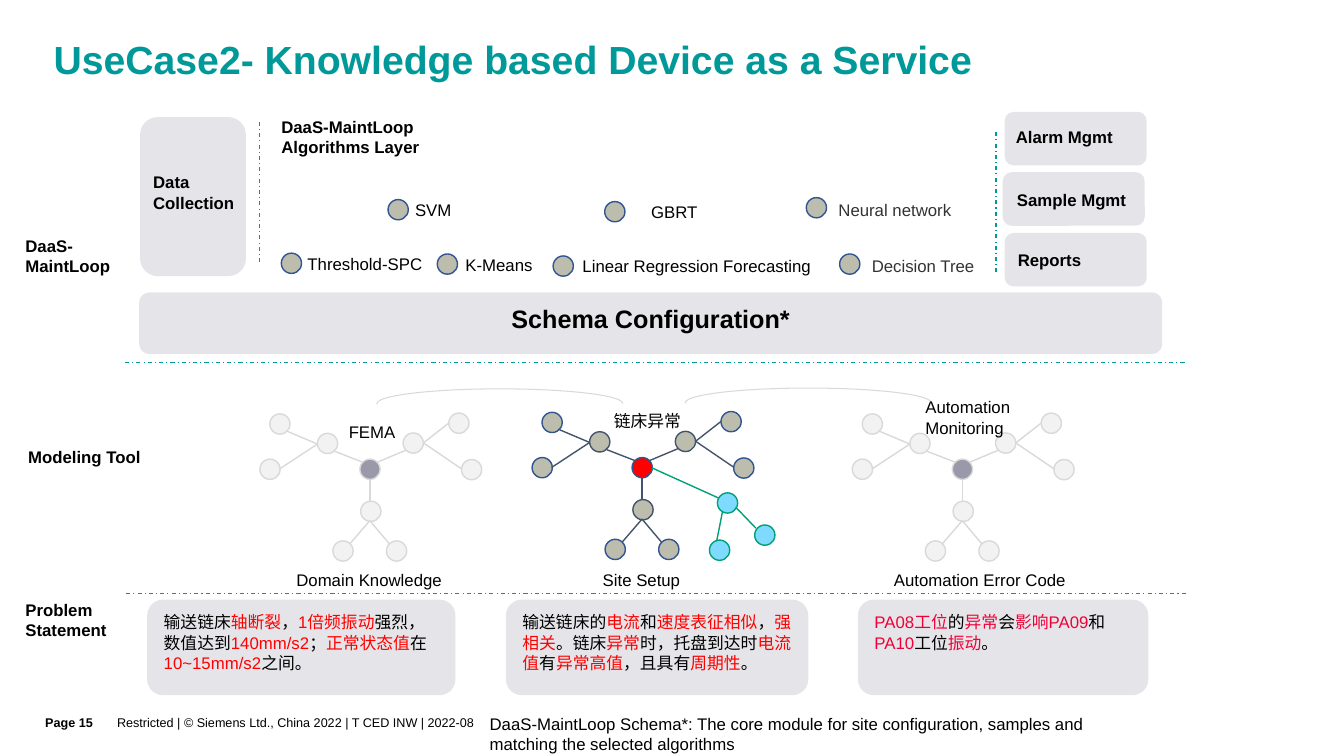
"""Build the knowledge based device service slide."""
from lxml.etree import SubElement
from pptx import Presentation
from pptx.dml.color import RGBColor
from pptx.enum.dml import MSO_LINE as Dash
from pptx.enum.shapes import MSO_CONNECTOR as Link, MSO_SHAPE as Kind
from pptx.enum.text import MSO_ANCHOR as Anchor, PP_ALIGN as Align
from pptx.oxml.ns import qn
from pptx.util import Cm, Pt

TEAL = RGBColor(0x00, 0x99, 0x99)
BLACK = RGBColor(0x00, 0x00, 0x00)
DARK = RGBColor(0x33, 0x33, 0x33)
RED = RGBColor(0xFF, 0x00, 0x00)
ROSE = RGBColor(0xEF, 0x01, 0x37)
PANEL = RGBColor(0xE5, 0xE5, 0xE9)
SAND = RGBColor(0xBD, 0xBD, 0xAD)
NAVY = RGBColor(0x32, 0x54, 0x91)
SLATE = RGBColor(0x44, 0x54, 0x6A)
PALE = RGBColor(0xF2, 0xF2, 0xF2)
GREY = RGBColor(0xD9, 0xD9, 0xD9)
HUB = RGBColor(0x99, 0x99, 0xA9)
SKY = RGBColor(0x7F, 0xDA, 0xFF)
GREEN = RGBColor(0x00, 0xA1, 0x78)

INNER = [(-1.07, -0.65), (0.02, 1.06), (1.09, -0.66)]
OUTER = [(2.56, 0.01), (2.24, -1.16), (0.67, 2.06), (-0.68, 2.06), (-2.52, 0), (-2.27, -1.14)]
EDGES = [
    (0.25, 0.51, 0.25, 1.06), (1.17, -0.23, 0.43, 0.08), (-0.64, -0.2, 0.08, 0.08),
    (-1.85, -0.71, -1.07, -0.38), (0.25, 1.55, -0.25, 2.13), (0.25, 1.55, 0.74, 2.13),
    (1.6, -0.41, 2.24, -0.91), (-1.07, -0.38, -2.03, 0.25), (1.6, -0.41, 2.57, 0.25),
]
RULES = [(3.18, 14.96, 29.92, 14.96), (3.15, 9.14, 29.9, 9.14),
         (6.55, 3.07, 6.55, 6.65), (25.1, 3.33, 25.1, 6.91)]
CARDS = [
    (3.71, 7.77, RED, "输送链床^轴断裂^，^1倍频振动^强烈，数值达到^140mm/s2^；^正常状态值^在^10~15mm/s2^之间。"),
    (12.75, 7.62, RED, "输送链床的^电流^和^速度表征相似^，^强相关^。链床^异常^时，托盘到达时"
                       "^电流值^有^异常高值^，且具有^周期性^。"),
    (21.62, 7.32, ROSE, "^PA08工位^的^异常^会^影响PA09^和^PA10^工位^振动^。"),
]
METHODS = [
    ("Threshold-SPC", 7.09, 6.38, 7.75, 6.4, BLACK),
    ("SVM", 9.78, 5.03, 10.46, 5.03, BLACK),
    ("K-Means", 11.02, 6.4, 11.73, 6.43, BLACK),
    ("Linear Regression Forecasting", 13.94, 6.45, 14.68, 6.45, BLACK),
    ("GBRT", 15.24, 5.08, 16.41, 5.08, BLACK),
    ("Decision Tree", 21.16, 6.4, 21.97, 6.45, DARK),
    ("Neural network", 20.32, 4.98, 21.13, 5.03, DARK),
]
MENU = [("Alarm Mgmt", 25.32, 2.82, 25.6, 3.2),
        ("Sample Mgmt", 25.27, 4.34, 25.63, 4.78),
        ("Reports", 25.32, 5.87, 25.65, 6.3)]
HEADS = [("Problem\nStatement", 0.64, 15.11), ("Modeling Tool", 0.71, 11.25),
         ("DaaS-\nMaintLoop", 0.64, 5.94), ("Data\nCollection", 3.86, 4.34),
         ("DaaS-MaintLoop\nAlgorithms Layer", 7.09, 2.95)]
TREES = [(9.07, 11.57, HUB, PALE, GREY, GREY),
         (15.93, 11.53, RED, SAND, SLATE, NAVY),
         (24, 11.57, HUB, PALE, GREY, GREY)]
NOTES = [("链床异常", 15.47, 10.34, 5.05), ("FEMA", 8.79, 10.62, 1.65),
         ("Automation Monitoring", 23.32, 10.01, 2.72),
         ("Domain Knowledge", 7.47, 14.35, 4.24), ("Site Setup", 15.19, 14.35, 4.24),
         ("Automation Error Code", 22.53, 14.35, 6.58),
         ("DaaS-MaintLoop Schema*: The core module for site configuration, "
          "samples and matching the selected algorithms", 12.34, 17.98, 15.85)]


def write(frame, text, size=12, color=BLACK, accent=RED, bold=False, align=Align.LEFT,
          anchor=Anchor.TOP, pad=(0, 0, 0, 0), space=None):
    """Fill a frame; newlines part paragraphs and carets switch the accent colour."""
    frame.word_wrap = True
    frame.vertical_anchor = anchor
    (frame.margin_left, frame.margin_top,
     frame.margin_right, frame.margin_bottom) = map(Cm, pad)
    for row, line in enumerate(text.split("\n")):
        para = frame.add_paragraph() if row else frame.paragraphs[0]
        para.alignment = align
        if space:
            para.line_spacing = space
        for turn, part in enumerate(line.split("^")):
            if part:
                run = para.add_run()
                run.text = part
                run.font.name = "Arial"
                run.font.size = Pt(size)
                run.font.bold = bold
                run.font.color.rgb = accent if turn % 2 else color


class Board:
    """Hold the slide and draw its elements in one style."""

    def __init__(self, slide):
        """Keep the slide."""
        self.slide = slide

    def title(self, text):
        """Place and fill the title."""
        head = self.slide.shapes.title
        head.left, head.top, head.width, head.height = map(Cm, (1.35, 0.53, 29.79, 1.6))
        write(head.text_frame, text, size=28, color=TEAL, bold=True,
              anchor=Anchor.BOTTOM, pad=(0, 0, 0.89, 0.05), space=0.9)

    def label(self, text, x, y, wide=5.05, high=0.51, **style):
        """Add a text box."""
        box = self.slide.shapes.add_textbox(Cm(x), Cm(y), Cm(wide), Cm(high))
        write(box.text_frame, text, **style)

    def shape(self, kind, x, y, wide, high, fill=None, line=None, width=1):
        """Add a preset shape."""
        item = self.slide.shapes.add_shape(kind, Cm(x), Cm(y), Cm(wide), Cm(high))
        item.shadow.inherit = False
        if fill is None:
            item.fill.background()
        else:
            item.fill.solid()
            item.fill.fore_color.rgb = fill
        if line is None:
            item.line.fill.background()
        else:
            item.line.color.rgb = line
            item.line.width = Pt(width)
        return item

    def panel(self, x, y, wide, high, text="", **style):
        """Add a rounded panel with optional text."""
        item = self.shape(Kind.ROUNDED_RECTANGLE, x, y, wide, high, PANEL)
        if text:
            write(item.text_frame, text, pad=(0.3, 0.2, 0.3, 0.2), **style)

    def node(self, x, y, fill=SAND, line=NAVY):
        """Add a round node."""
        self.shape(Kind.OVAL, x, y, 0.51, 0.51, fill, line)

    def arc(self, x, y):
        """Add a flat upper arc."""
        item = self.shape(Kind.ARC, x, y, 6.2, 0.74, line=GREY, width=0.75)
        item.adjustments[0] = 107.847
        item.adjustments[1] = 0

    def line(self, x, y, right, low, color, width=1, dash=None):
        """Add a straight line."""
        link = self.slide.shapes.add_connector(
            Link.STRAIGHT, Cm(x), Cm(y), Cm(right), Cm(low))
        link.line.color.rgb = color
        link.line.width = Pt(width)
        if dash:
            link.line.dash_style = dash
        SubElement(link._element.spPr, qn("a:effectLst"))

    def tree(self, x, y, hub, fill, inner, outer):
        """Add a hub with its branches."""
        self.node(x, y, hub, outer)
        for spots, rim in ((INNER, inner), (OUTER, outer)):
            for dx, dy in spots:
                self.node(x + dx, y + dy, fill, rim)
        for left, top, right, low in EDGES:
            self.line(x + left, y + top, x + right, y + low, inner)


def main():
    """Build and save the slide."""
    deck = Presentation()
    deck.slide_width, deck.slide_height = Cm(33.87), Cm(19.05)
    board = Board(deck.slides.add_slide(deck.slide_layouts[5]))
    board.title("UseCase2- Knowledge based Device as a Service")
    foot = dict(size=9, anchor=Anchor.MIDDLE, pad=(0, 0, 0, 0.18))
    board.label("Restricted | © Siemens Ltd., China 2022 | T CED INW | 2022-08",
                2.95, 17.53, 25.6, 1.52, **foot)
    board.label("Page 15", 1.14, 17.53, 1.8, 1.52, bold=True, **foot)

    for ends in RULES:
        board.line(*ends, TEAL, 0.75, Dash.DASH_DOT)
    for x, wide, accent, text in CARDS:
        board.panel(x, 15.11, wide, 2.41, text, accent=accent)
    board.panel(3.51, 7.37, 25.78, 1.55, "Schema Configuration*",
                size=18, bold=True, align=Align.CENTER)
    board.panel(3.53, 2.95, 2.67, 4.01)
    for text, x, y, left, top in MENU:
        board.panel(x, y, 3.58, 1.35)
        board.label(text, left, top, bold=True)
    for text, x, y in HEADS:
        board.label(text, x, y, high=0.51 * len(text.split("\n")), bold=True)
    for text, x, y, left, top, color in METHODS:
        board.node(x, y)
        board.label(text, left, top, 6.5, color=color)

    for spec in TREES:
        board.tree(*spec)
    for x, y in ((18.08, 12.42), (19.02, 13.23), (17.88, 13.61)):
        board.node(x, y, SKY, GREEN)
    for ends in ((16.43, 11.79, 18.11, 12.55), (18.21, 12.88, 18.06, 13.64),
                 (18.54, 12.78, 19.05, 13.31)):
        board.line(*ends, GREEN)
    for x, y in ((9.5, 9.8), (17.27, 9.78)):
        board.arc(x, y)
    for text, x, y, wide in NOTES:
        board.label(text, x, y, wide)
    deck.save("out.pptx")


if __name__ == "__main__":
    main()
